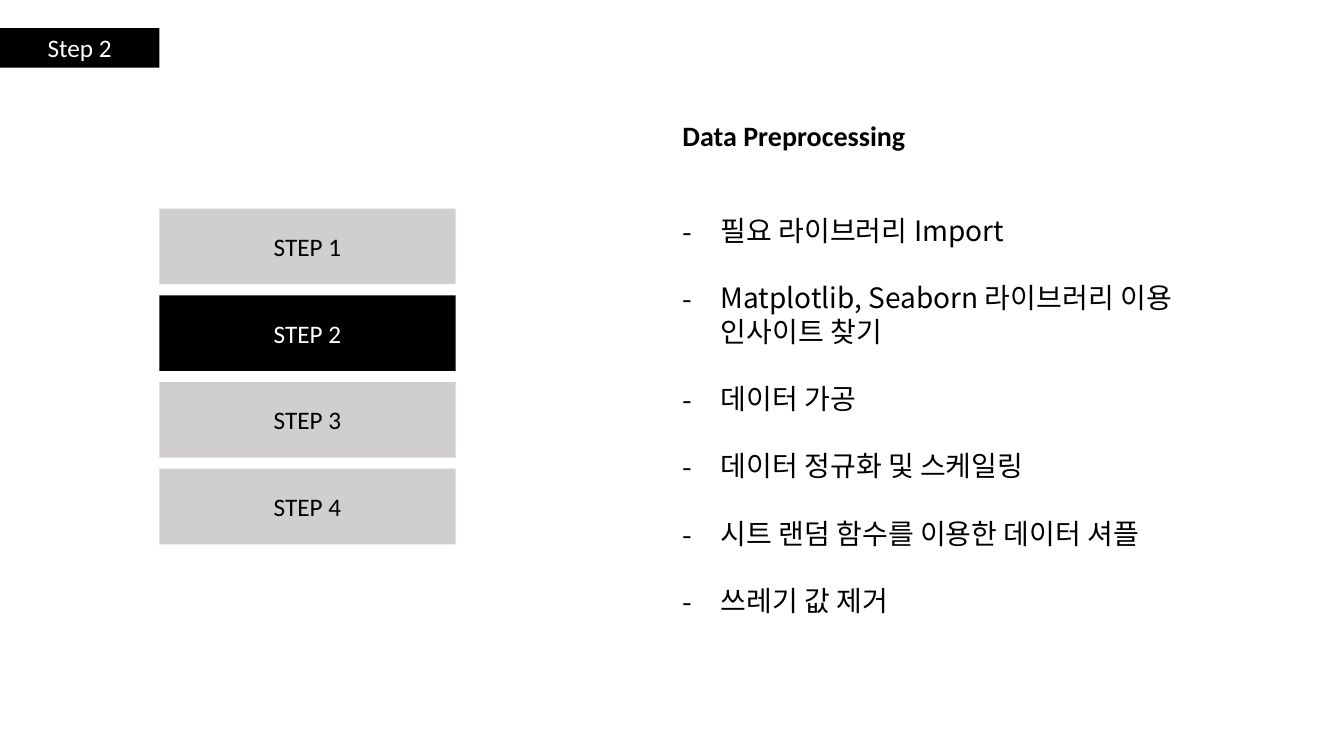
"""Build the Step 2 slide on data preprocessing."""
from pptx import Presentation
from pptx.dml.color import RGBColor
from pptx.enum.shapes import MSO_SHAPE
from pptx.enum.text import MSO_ANCHOR, PP_ALIGN
from pptx.oxml.ns import qn
from pptx.util import Inches, Pt
from lxml import etree

RECT = MSO_SHAPE.RECTANGLE
MIDDLE = MSO_ANCHOR.MIDDLE
CENTER = PP_ALIGN.CENTER
BLACK, WHITE, GRAY = "000000", "FFFFFF", "D0CECE"
LATIN, KOREAN = "Calibri", "Noto Sans CJK KR"
TASKS = [
    "필요 라이브러리 Import",
    "Matplotlib, Seaborn 라이브러리 이용 인사이트 찾기",
    "데이터 가공",
    "데이터 정규화 및 스케일링",
    "시트 랜덤 함수를 이용한 데이터 셔플",
    "쓰레기 값 제거",
]


def color(code):
    """Turn a hex string into a colour."""
    return RGBColor.from_string(code)


def style(para, size, code, face, bold=False):
    """Format every run of a paragraph."""
    for run in para.runs:
        font = run.font
        font.size = Pt(size)
        font.bold = bold
        font.color.rgb = color(code)
        font.name = face
        east = etree.SubElement(font._element, qn("a:ea"))
        east.set("typeface", face)


def add_bar(slide, left, top, width, height, text, active):
    """Draw a bar with a centred label, black when active."""
    bar = slide.shapes.add_shape(
        RECT, Inches(left), Inches(top), Inches(width), Inches(height))
    bar.shadow.inherit = False
    bar.fill.solid()
    bar.fill.fore_color.rgb = color(BLACK if active else GRAY)
    bar.line.fill.background()
    frame = bar.text_frame
    frame.vertical_anchor = MIDDLE
    frame.text = text
    para = frame.paragraphs[0]
    para.alignment = CENTER
    style(para, 18, WHITE if active else BLACK, LATIN)


def add_steps(slide, left, top, width, height, count, current):
    """Stack the step bars in a box and mark the current one."""
    gap = 0.11
    tall = (height - gap * (count - 1)) / count
    for i in range(count):
        add_bar(slide, left, top + i * (tall + gap), width, tall,
                f"STEP {i + 1}", i + 1 == current)


def add_title(slide, left, top, width, height, text):
    """Place the bold heading."""
    box = slide.shapes.add_textbox(
        Inches(left), Inches(top), Inches(width), Inches(height))
    box.text_frame.text = text
    style(box.text_frame.paragraphs[0], 20, BLACK, LATIN, True)


def add_tasks(slide, left, top, width, height, tasks):
    """Place the dashed list with one blank line's gap between items."""
    box = slide.shapes.add_textbox(
        Inches(left), Inches(top), Inches(width), Inches(height))
    frame = box.text_frame
    frame.word_wrap = True
    frame.text = "\n".join(tasks)
    for i, para in enumerate(frame.paragraphs):
        para.line_spacing = Pt(24)
        para.space_before = Pt(24 if i else 0)
        props = para._p.get_or_add_pPr()
        props.set("marL", str(Inches(0.38)))
        props.set("indent", str(Inches(-0.38)))
        face = etree.SubElement(props, qn("a:buFont"))
        face.set("typeface", KOREAN)
        mark = etree.SubElement(props, qn("a:buChar"))
        mark.set("char", "-")
        style(para, 20, BLACK, KOREAN)


def main():
    """Build and save the deck."""
    deck = Presentation()
    deck.slide_width = Inches(13.33)
    deck.slide_height = Inches(7.5)
    slide = deck.slides.add_slide(deck.slide_layouts[6])
    add_bar(slide, 0, 0.28, 1.58, 0.39, "Step 2", True)
    add_steps(slide, 1.58, 2.07, 2.94, 3.33, 4, 2)
    add_tasks(slide, 6.67, 2.07, 5.56, 4.14, TASKS)
    add_title(slide, 6.67, 1.13, 2.61, 0.44, "Data Preprocessing")
    deck.save("out.pptx")


if __name__ == "__main__":
    main()
